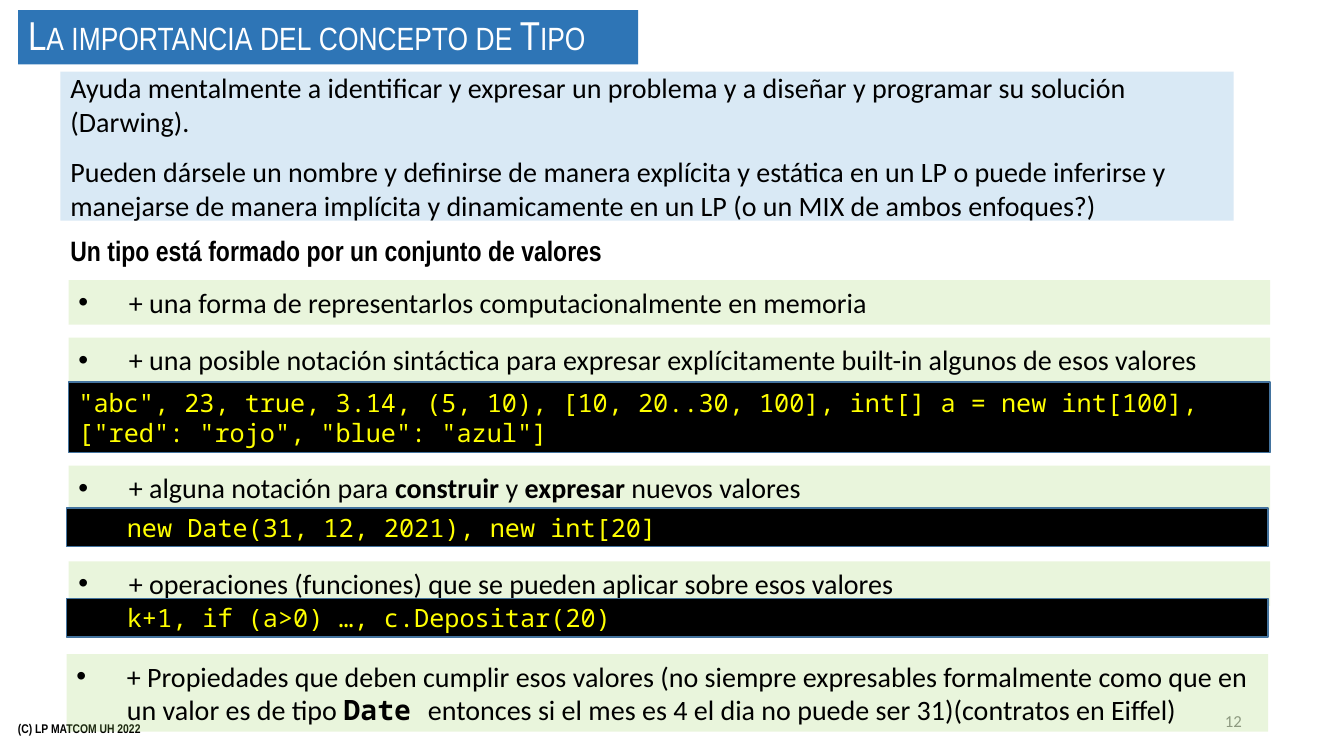
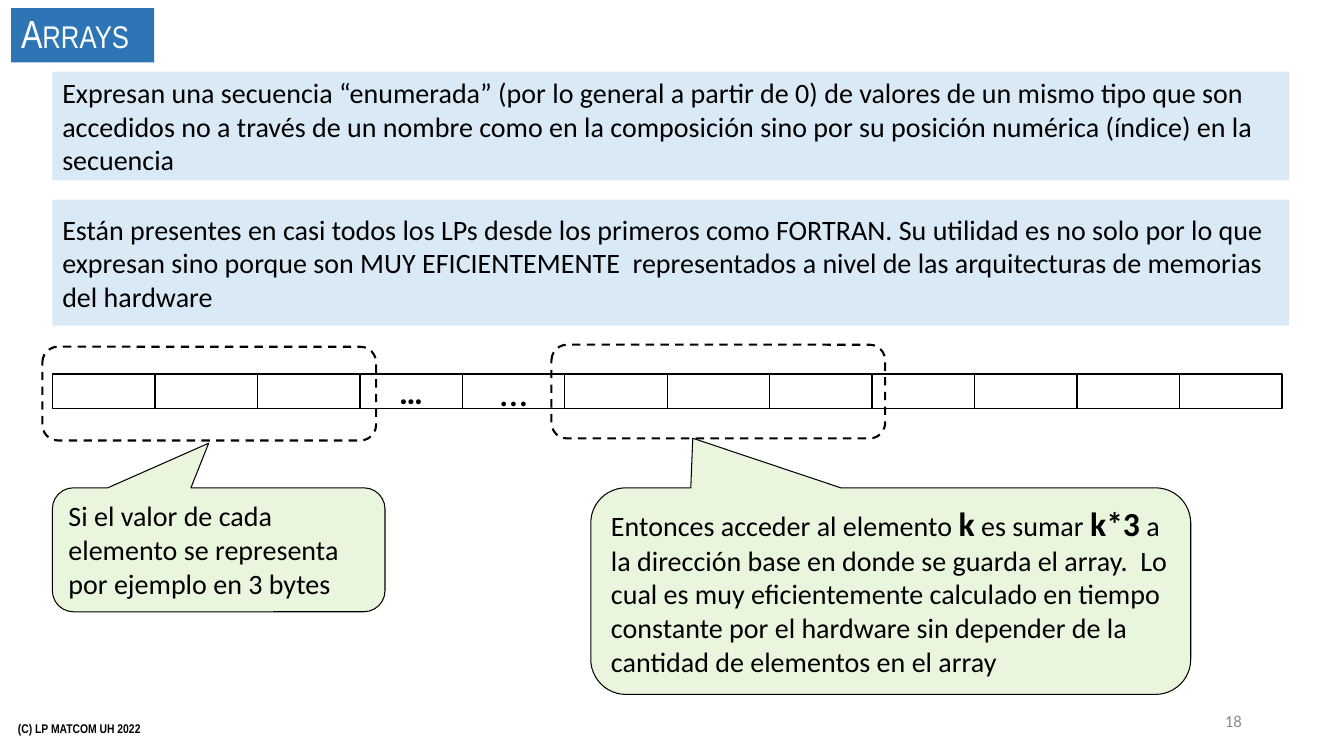
from dataclasses import dataclass
from lxml.etree import SubElement
from pptx import Presentation
from pptx.dml.color import RGBColor
from pptx.enum.dml import MSO_LINE
from pptx.enum.shapes import MSO_SHAPE
from pptx.enum.text import MSO_ANCHOR, MSO_AUTO_SIZE, PP_ALIGN
from pptx.oxml.ns import qn
from pptx.util import Inches, Pt


@dataclass(frozen=True)
class Theme:
    black: str = "000000"
    white: str = "FFFFFF"
    title: str = "2E75B6"
    intro: str = "0070C0"
    point: str = "92D050"
    code: str = "FFFF00"
    code_edge: str = "43739E"
    number: str = "8C8C8C"
    body_font: str = "Calibri"
    head_font: str = "Arial Narrow"
    mono_font: str = "Noto Sans Mono"
    body_size: float = 20
    title_size: float = 28
    code_size: float = 18
    strong_size: float = 24
    number_size: float = 12
    footer_size: float = 9
    intro_alpha: int = 15
    point_alpha: int = 20


class Deck:
    def __init__(self, theme):
        self.theme = theme
        self.prs = Presentation()
        self.prs.slide_width, self.prs.slide_height = Inches(13.33), Inches(7.5)
        self.s = None

    def box(self, x, y, w, h):
        sw, sh = self.prs.slide_width, self.prs.slide_height
        return [int(v * side / 100) for v, side in ((x, sw), (y, sh), (w, sw), (h, sh))]

    def slide(self, number):
        t = self.theme
        self.s = self.prs.slides.add_slide(self.prs.slide_layouts[6])
        self.label((0.6, 93.73, 33.75, 5.33), "(C) LP MATCOM UH 2022", MSO_ANCHOR.MIDDLE,
                   name=t.head_font, size=t.footer_size, bold=True)
        self.label((70.65, 92.67, 22.5, 5.33), number, MSO_ANCHOR.MIDDLE, PP_ALIGN.RIGHT,
                   size=t.number_size, color=t.number)

    def shape(self, area, kind=MSO_SHAPE.RECTANGLE, fill=None, alpha=None,
              line=None, width=1, dash=None, parent=None):
        sp = (parent or self.s).shapes.add_shape(kind, *self.box(*area))
        sp.shadow.inherit = False
        if fill:
            sp.fill.solid()
            sp.fill.fore_color.rgb = RGBColor.from_string(fill)
            if alpha:
                clr = sp.fill._xPr.find(qn("a:solidFill"))[0]
                SubElement(clr, qn("a:alpha"), val=str(alpha * 1000))
        else:
            sp.fill.background()
        if line:
            sp.line.color.rgb = RGBColor.from_string(line)
            sp.line.width = Pt(width)
            if dash:
                sp.line.dash_style = dash
        else:
            sp.line.fill.background()
        return sp

    def text(self, sp, paragraphs, anchor=MSO_ANCHOR.MIDDLE, align=PP_ALIGN.LEFT,
             grow=False, spacing=None, indent=None, bullet=False, caps=False, **style):
        t = self.theme
        base = dict(name=t.body_font, size=t.body_size, bold=False, color=t.black) | style
        tf = sp.text_frame
        frame = dict(word_wrap=True, vertical_anchor=anchor,
                     auto_size=MSO_AUTO_SIZE.SHAPE_TO_FIT_TEXT if grow else MSO_AUTO_SIZE.NONE)
        for key, value in frame.items():
            setattr(tf, key, value)
        for i, runs in enumerate(paragraphs):
            p = tf.add_paragraph() if i else tf.paragraphs[0]
            for key, value in (dict(alignment=align) | (spacing or {})).items():
                setattr(p, key, value)
            pPr = p._p.get_or_add_pPr()
            if indent:
                pPr.set("marL", str(Inches(indent)))
            if bullet:
                pPr.set("indent", str(-Inches(indent)))
                SubElement(pPr, qn("a:buFont"), typeface="Arial")
                SubElement(pPr, qn("a:buChar"), char="•")
            for content, change in [(runs, {})] if isinstance(runs, str) else runs:
                r = p.add_run()
                r.text = content
                fmt = base | change
                r.font.color.rgb = RGBColor.from_string(fmt.pop("color"))
                fmt["size"] = Pt(fmt["size"])
                for key, value in fmt.items():
                    setattr(r.font, key, value)
                if caps:
                    r._r.get_or_add_rPr().set("cap", "small")

    def label(self, area, content, anchor=MSO_ANCHOR.TOP, align=PP_ALIGN.LEFT, **style):
        sp = self.s.shapes.add_textbox(*self.box(*area))
        self.text(sp, [content], anchor, align, **style)

    def title(self, x, y, w, content, size=None):
        t = self.theme
        sp = self.shape((x, y, w, 7.2), fill=t.title)
        self.text(sp, [content], spacing=dict(line_spacing=0.9), caps=True,
                  name=t.head_font, size=size or t.title_size, color=t.white)

    def intro(self, area, *paragraphs):
        t = self.theme
        sp = self.shape(area, fill=t.intro, alpha=t.intro_alpha)
        self.text(sp, paragraphs, spacing=dict(space_after=Pt(12)))

    def point(self, y, runs, x=5.1, h=5.87):
        t = self.theme
        sp = self.shape((x, y, 89.4, h), fill=t.point, alpha=t.point_alpha)
        self.text(sp, [runs], MSO_ANCHOR.TOP, grow=True, indent=0.5, bullet=True)

    def code(self, y, content, x=4.95, h=5.07, indent=0.5):
        t = self.theme
        sp = self.shape((x, y, 89.4, h), fill=t.black, line=t.code_edge)
        self.text(sp, [content], indent=indent,
                  name=t.mono_font, size=t.code_size, color=t.code)

    def cells(self, area, count, texts):
        x, y, w, h = area
        group = self.s.shapes.add_group_shape()
        for i in range(count):
            sp = self.shape((x + i * w / count, y, w / count, h),
                            line=self.theme.black, parent=group)
            if i in texts:
                content, style = texts[i]
                self.text(sp, [content], align=PP_ALIGN.CENTER, **style)

    def bracket(self, x, y):
        self.shape((x, y, 24.83, 12.4), MSO_SHAPE.ROUNDED_RECTANGLE,
                   line=self.theme.black, width=1.5, dash=MSO_LINE.DASH)

    def callout(self, area, tip, runs):
        t = self.theme
        sp = self.shape(area, MSO_SHAPE.ROUNDED_RECTANGULAR_CALLOUT, t.point,
                        t.point_alpha, t.black, 0.75)
        for i, value in enumerate(tip):
            sp.adjustments[i] = value
        self.text(sp, [runs], MSO_ANCHOR.TOP, grow=True)


def type_slide(deck):
    t = deck.theme
    bold = dict(bold=True)
    deck.slide("12")
    deck.intro((4.5, 9.47, 87.3, 19.73),
               "Ayuda mentalmente a identificar y expresar un problema y a diseñar y programar "
               "su solución (Darwing).",
               "Pueden dársele un nombre y definirse de manera explícita y estática en un LP o "
               "puede inferirse y manejarse de manera implícita y dinamicamente en un LP "
               "(o un MIX de ambos enfoques?)")
    deck.title(1.35, 1.33, 46.13, "La importancia del concepto de Tipo", 28.8)
    deck.label((4.5, 30.27, 62.85, 5.87), "Un tipo está formado por un conjunto de valores",
               name=t.head_font, bold=True)
    deck.point(37.07, "+ una forma de representarlos computacionalmente en memoria")
    deck.point(44.67, "+ una posible notación sintáctica para expresar explícitamente built-in "
                      "algunos de esos valores")
    deck.code(50.53, '"abc", 23, true, 3.14, (5, 10), [10, 20..30, 100], int[] a = new int[100], '
                     '["red": "rojo", "blue": "azul"]', x=5.1, h=9.33, indent=None)
    deck.point(61.6, [("+ alguna notación para ", {}), ("construir", bold), (" y ", {}),
                      ("expresar ", bold), ("nuevos valores", {})])
    deck.code(67.2, "new Date(31, 12, 2021), new int[20]")
    deck.point(74.27, "+ operaciones (funciones) que se pueden aplicar sobre esos valores")
    deck.code(79.2, "k+1, if (a>0) …, c.Depositar(20)")
    deck.point(86.53, [
        ("+ Propiedades que deben cumplir esos valores (no siempre expresables formalmente "
         "como que en un valor es de tipo ", {}),
        ("Date ", dict(name=t.mono_font, bold=True)),
        ("entonces si el mes es 4 el dia no puede ser 31)(contratos en Eiffel)", {})],
        x=4.95, h=10.27)


def array_slide(deck):
    strong = dict(size=deck.theme.strong_size, bold=True)
    deck.slide("18")
    deck.intro((3.9, 9.47, 92.03, 14.4),
               "Expresan una secuencia “enumerada” (por lo general a partir de 0) de valores de "
               "un mismo tipo que son accedidos no a través de un nombre como en la composición "
               "sino por su posición numérica (índice) en la secuencia")
    deck.title(0.83, 1.07, 10.65, "Arrays")
    deck.intro((3.9, 26.4, 92.03, 16.67),
               "Están presentes en casi todos los LPs desde los primeros como FORTRAN. Su "
               "utilidad es no solo por lo que expresan sino porque son MUY EFICIENTEMENTE  "
               "representados a nivel de las arquitecturas de memorias del hardware")
    deck.cells((3.9, 49.47, 91.5, 4.53), 12, {3: ("…", strong), 4: ("…", dict(size=28))})
    deck.bracket(3.15, 45.87)
    deck.bracket(41.03, 45.6)
    deck.callout((3.9, 64.53, 24.75, 16.4), (-0.03, -0.86, 0.17),
                 "Si el valor de cada elemento se representa por ejemplo en 3 bytes")
    deck.callout((43.96, 64.53, 44.64, 27.33), (-0.33, -0.74, 0.17), [
        ("Entonces acceder al elemento ", {}), ("k", strong), (" es sumar ", {}),
        ("k*3", strong),
        (" a la dirección base en donde se guarda el array.  Lo cual es muy eficientemente "
         "calculado en tiempo constante por el hardware sin depender de la cantidad de "
         "elementos en el array", {})])


def main():
    deck = Deck(Theme())
    type_slide(deck)
    array_slide(deck)
    deck.prs.save("out.pptx")


if __name__ == "__main__":
    main()
